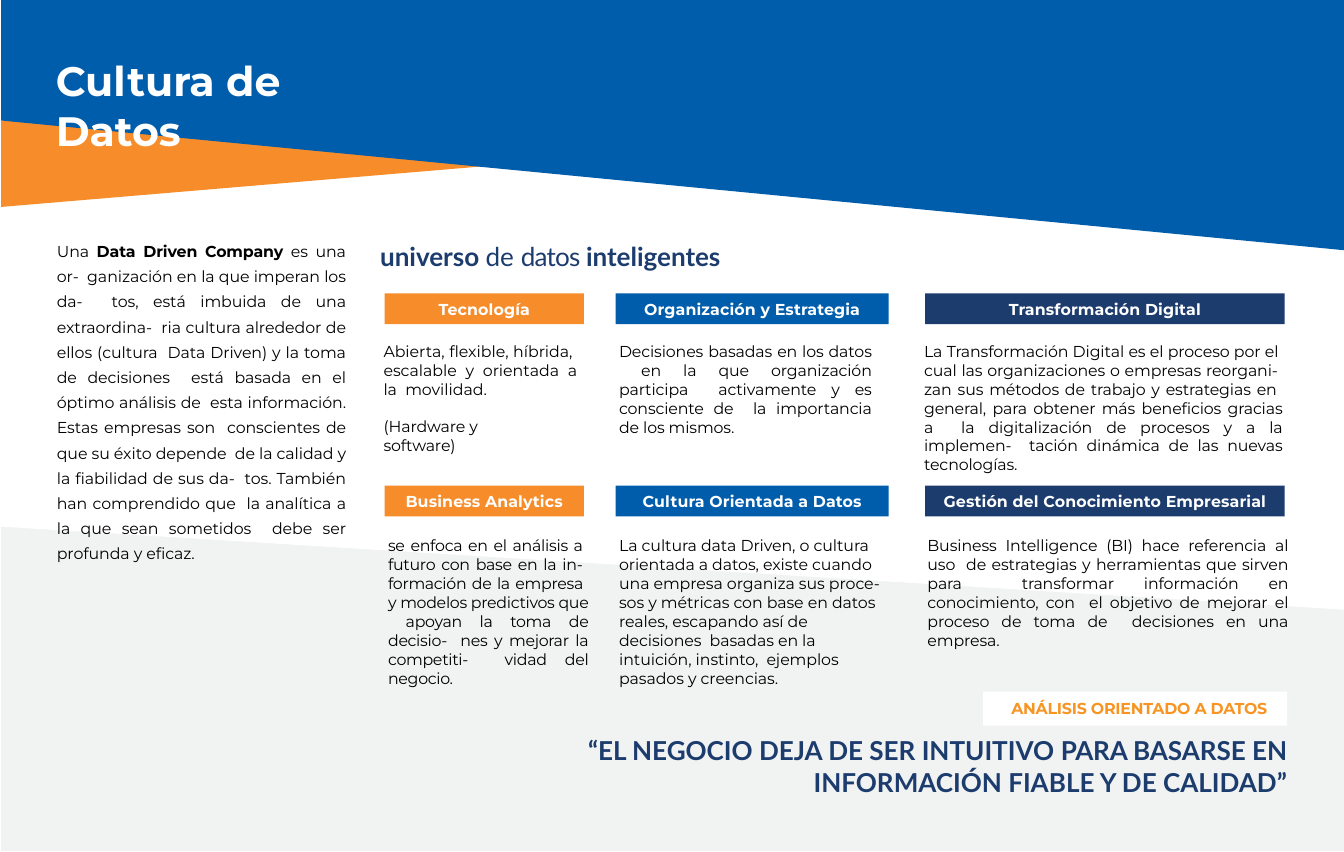
"""Build the "Cultura de Datos" slide."""
from dataclasses import dataclass
from typing import NamedTuple

from pptx import Presentation
from pptx import util as u
from pptx.dml.color import RGBColor
from pptx.enum import shapes, text

PX = 9144
LEFT, CENTER, RIGHT, JUSTIFY = (
    text.PP_ALIGN.LEFT, text.PP_ALIGN.CENTER, text.PP_ALIGN.RIGHT, text.PP_ALIGN.JUSTIFY)
TOP, MIDDLE = text.MSO_ANCHOR.TOP, text.MSO_ANCHOR.MIDDLE


@dataclass(frozen=True)
class Theme:
    """Colours, fonts and type sizes of the slide."""
    white: str = "FFFFFF"
    mist: str = "F1F2F2"
    blue: str = "005DAC"
    orange: str = "F78D2A"
    amber: str = "F79423"
    navy: str = "1C3C6E"
    black: str = "000000"
    sans: str = "Montserrat"
    accent: str = "Lato"
    title: float = 26
    slogan: float = 16.5
    body: float = 10


THEME = Theme()


class Style(NamedTuple):
    """Font, size and colour of a text."""
    font: str
    size: float
    color: str


class Run(NamedTuple):
    """A stretch of text, with tracking in hundredths of a point."""
    words: str
    bold: bool = False
    tracking: int = 0


class Topic(NamedTuple):
    """A heading bar and the text under it."""
    heading: str
    body: str
    left: int
    width: int
    align: int = JUSTIFY
    tracking: int = -5


class Column(NamedTuple):
    """Two topics, one above the other, that share a bar colour."""
    left: int
    width: int
    color: str
    topics: tuple


TITLE = Style(THEME.sans, THEME.title, THEME.white)
BODY = Style(THEME.sans, THEME.body, THEME.black)
HEADING = Style(THEME.sans, THEME.body, THEME.white)
LABEL = Style(THEME.sans, THEME.body, THEME.amber)
SLOGAN = Style(THEME.accent, THEME.slogan, THEME.navy)

BANDS = (
    (THEME.mist, ((1, 0), (1181, 0), (1181, 748), (1, 748))),
    (THEME.white, ((1, 135), (1181, 135), (1181, 536), (1, 463))),
    (THEME.orange, ((1, 106), (902, 106), (1, 182))),
    (THEME.blue, ((1, 0), (1181, 0), (1181, 220), (1, 106))),
)

INTRO = (
    Run("Una ", tracking=-3),
    Run("Data Driven Company ", True, -7),
    Run("es una or-  ganización en la que imperan los da-  tos, está imbuida de una "
        "extraordina-  ria cultura alrededor de ellos (cultura  Data Driven) y la toma "
        "de decisiones  está basada en el óptimo análisis de  esta información. Estas "
        "empresas son  conscientes de que su éxito depende  de la calidad y la "
        "fiabilidad de sus da-  tos. También han comprendido que  la analítica a la que "
        "sean sometidos  debe ser profunda y eficaz.", tracking=-4),
)
TAGLINE = (Run("universo ", True), Run("de ", False, 10), Run("datos ", False, -50),
           Run("inteligentes", True))
QUOTE = (
    (Run("“EL NEGOCIO DEJA DE SER INTUITIVO ", True, 3), Run("PARA ", True, -10),
     Run("BASARSE EN", True)),
    (Run("INFORMACIÓN FIABLE Y DE CALIDAD”", True, 2),),
)

ROWS = ((258, 299), (427, 470))
COLUMNS = (
    Column(338, 175, THEME.orange, (
        Topic("Tecnología",
              "Abierta, flexible, híbrida,  escalable y orientada a la  movilidad.",
              335, 172, tracking=0),
        Topic("Business Analytics",
              "se enfoca en el análisis a  futuro con base en la in-  formación de la empresa  "
              "y modelos predictivos que  apoyan la toma de decisio-  nes y mejorar la "
              "competiti-  vidad del negocio.", 339, 178, tracking=-17))),
    Column(541, 240, THEME.blue, (
        Topic("Organización y Estrategia",
              "Decisiones basadas en los datos  en la que organización participa  activamente "
              "y es consciente de  la importancia de los mismos.", 542, 224),
        Topic("Cultura Orientada a Datos",
              "La cultura data Driven, o cultura orientada a datos, existe cuando una empresa "
              "organiza sus proce- sos y métricas con base en datos reales, escapando así de "
              "decisiones  basadas en la intuición, instinto,  ejemplos pasados y creencias.",
              542, 232, LEFT, -3))),
    Column(813, 316, THEME.navy, (
        Topic("Transformación Digital",
              "La Transformación Digital es el proceso por el  cual las organizaciones o "
              "empresas reorgani-  zan sus métodos de trabajo y estrategias en  general, para "
              "obtener más beneficios gracias a  la digitalización de procesos y a la "
              "implemen-  tación dinámica de las nuevas tecnologías.", 810, 317, tracking=-7),
        Topic("Gestión del Conocimiento Empresarial",
              "Business Intelligence (BI) hace referencia al uso  de estrategias y herramientas "
              "que sirven para  transformar información en conocimiento, con  el objetivo de "
              "mejorar el proceso de toma de  decisiones en una empresa.", 813, 319))),
)


def px(*lengths):
    """Turn px lengths into EMU."""
    return [u.Emu(length * PX) for length in lengths]


def write(shape, paragraphs, style, align=LEFT, anchor=TOP, insets=(2, 1), spacing=None):
    """Fill a shape with paragraphs, run by run."""
    frame = shape.text_frame
    frame.word_wrap = True
    frame.auto_size = text.MSO_AUTO_SIZE.NONE
    frame.vertical_anchor = anchor
    frame.margin_left, frame.margin_top, frame.margin_right, frame.margin_bottom = px(
        *insets, 0, 0)
    for index, runs in enumerate(paragraphs):
        paragraph = frame.add_paragraph() if index else frame.paragraphs[0]
        paragraph.alignment = align
        paragraph.line_spacing = spacing
        for words, bold, tracking in runs:
            run = paragraph.add_run()
            run.text = words
            run.font.name = style.font
            run.font.size = u.Pt(style.size)
            run.font.bold = bold
            run.font.color.rgb = RGBColor.from_string(style.color)
            run.font._element.set("spc", str(tracking))


def paint(shape, color):
    """Give a shape a plain fill without line or shadow."""
    shape.shadow.inherit = False
    shape.fill.solid()
    shape.fill.fore_color.rgb = RGBColor.from_string(color)
    shape.line.fill.background()


def add_band(slide, color, points):
    """Draw one slanted background band."""
    start, *rest = points
    outline = slide.shapes.build_freeform(*start, scale=PX)
    outline.add_line_segments(rest, close=True)
    paint(outline.convert_to_shape(), color)


def add_bar(slide, box, color, runs, style, insets=(0, 0)):
    """Draw a filled bar with a centred caption."""
    bar = slide.shapes.add_shape(shapes.MSO_SHAPE.RECTANGLE, *px(*box))
    paint(bar, color)
    write(bar, [runs], style, CENTER, MIDDLE, insets)


def add_text(slide, box, paragraphs, style, align=LEFT, spacing=None):
    """Place a wrapped text box."""
    write(slide.shapes.add_textbox(*px(*box)), paragraphs, style, align, spacing=spacing)


def add_title(slide, box, words):
    """Move the title placeholder in front of the bands and format it."""
    title = slide.shapes.title
    slide.shapes._spTree.append(title._element)
    title.left, title.top, title.width, title.height = px(*box)
    write(title, [[Run(words, True, -5)]], TITLE)


def add_column(slide, column):
    """Draw the bars and texts of one column."""
    for (bar_top, body_top), topic in zip(ROWS, column.topics):
        add_bar(slide, (column.left, bar_top, column.width, 27), column.color,
                [Run(topic.heading, True, 10)], HEADING)
        add_text(slide, (topic.left, body_top, topic.width, 119),
                 [[Run(topic.body, tracking=topic.tracking)]], BODY, topic.align)


def main():
    """Build and save the slide."""
    deck = Presentation()
    deck.slide_width, deck.slide_height = px(1181, 749)
    slide = deck.slides.add_slide(deck.slide_layouts[5])
    for color, points in BANDS:
        add_band(slide, color, points)
    add_title(slide, (47, 48, 309, 90), "Cultura de Datos")
    add_text(slide, (48, 206, 256, 290), [INTRO], BODY, JUSTIFY, 1.33)
    add_text(slide, (332, 210, 398, 30), [TAGLINE], SLOGAN)
    for column in COLUMNS:
        add_column(slide, column)
    add_text(slide, (335, 365, 145, 36), [[Run("(Hardware y software)", tracking=-5)]], BODY)
    add_bar(slide, (864, 608, 267, 30), THEME.white,
            [Run("ANÁLISIS ORIENTADO A DATOS", True, -10)], LABEL, (7, 0))
    add_text(slide, (504, 645, 627, 58), QUOTE, SLOGAN, RIGHT)
    deck.save("out.pptx")


if __name__ == "__main__":
    main()
